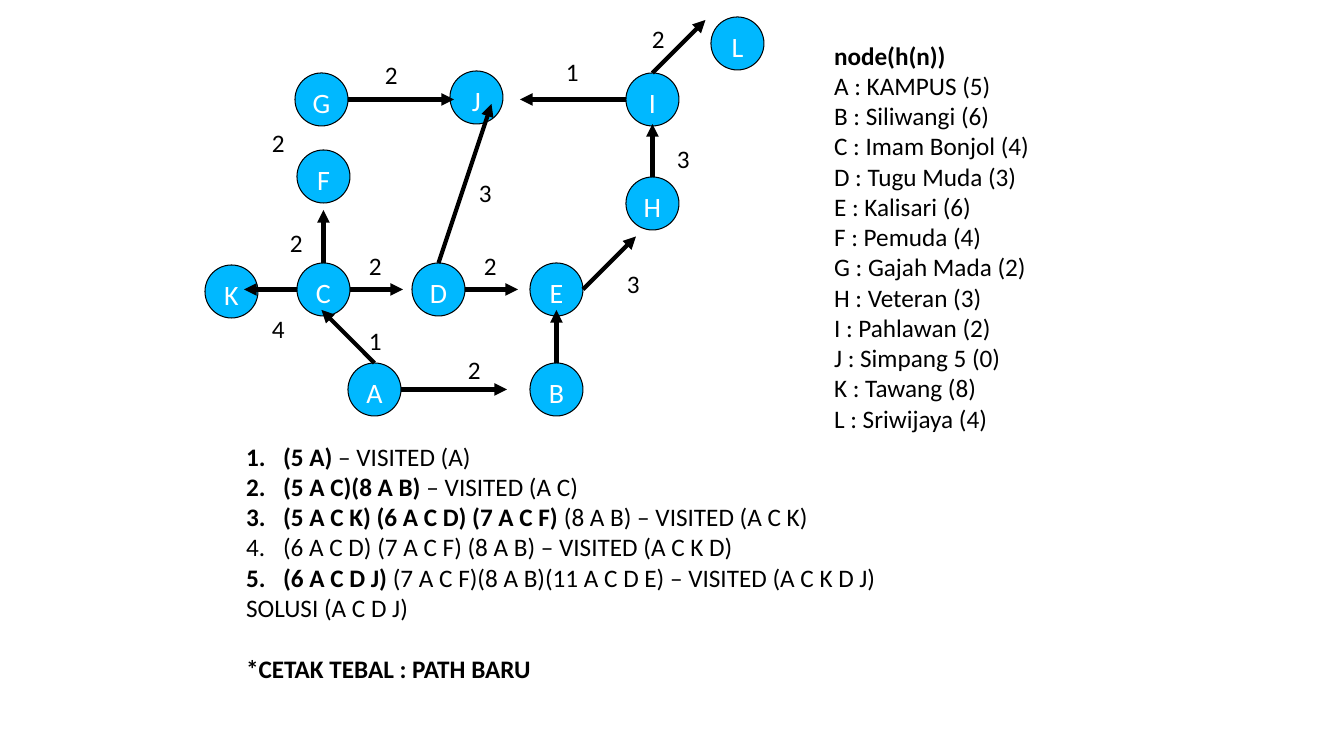
from collections import namedtuple
from dataclasses import dataclass

from lxml.etree import SubElement
from pptx import Presentation
from pptx.dml.color import RGBColor
from pptx.enum.shapes import MSO_CONNECTOR, MSO_SHAPE
from pptx.enum.text import MSO_ANCHOR, MSO_AUTO_SIZE, PP_ALIGN
from pptx.oxml.ns import qn
from pptx.util import Emu, Pt

Box = namedtuple("Box", "left top width height")


@dataclass(frozen=True)
class Theme:
    """Colours, font and sizes of the slide."""
    ink: RGBColor = RGBColor(0, 0, 0)
    node: RGBColor = RGBColor(0x00, 0xB8, 0xFF)
    node_text: RGBColor = RGBColor(255, 255, 255)
    font: str = "Calibri"
    body_size: int = 18
    node_size: int = 20
    outline: float = 0.75
    arrow: int = 3


THEME = Theme()
EMU_PER_PIXEL = 914400 / 100.8
DIAMETER = 53
HANG = 37
BLANK_LINE = 22

NODES = {
    "A": (148, 363), "B": (330, 363), "C": (97, 263), "D": (212, 263),
    "E": (330, 263), "F": (97, 150), "G": (95, 73), "H": (426, 177),
    "I": (426, 73), "J": (250, 71), "K": (5, 265), "L": (511, 17),
}
SIDES = {"top": (0.5, 0), "left": (0, 0.5), "right": (1, 0.5)}
ARROWS = [
    ("A", "right", 2, 0), ("A", "top", -1, -1), ("B", "top", 0, -1),
    ("C", "right", 1, 0), ("C", "top", 0, -1), ("C", "left", -1, 0),
    ("D", "right", 1, 0), ("D", "top", 1, -3), ("E", "right", 1, -1),
    ("G", "right", 2, 0), ("H", "top", 0, -1), ("I", "left", -2, 0),
    ("I", "top", 1, -1),
]
COSTS = [
    ("2", 258, 349), ("1", 159, 320), ("2", 159, 245), ("2", 274, 245),
    ("3", 417, 263), ("3", 467, 138), ("2", 442, 18), ("1", 356, 51),
    ("2", 175, 54), ("3", 269, 172), ("2", 62, 122), ("2", 80, 222),
    ("4", 62, 308),
]
PLACES = [
    "KAMPUS (5)", "Siliwangi (6)", "Imam Bonjol (4)", "Tugu Muda (3)",
    "Kalisari (6)", "Pemuda (4)", "Gajah Mada (2)", "Veteran (3)",
    "Pahlawan (2)", "Simpang 5 (0)", "Tawang (8)", "Sriwijaya (4)",
]
STEPS = [
    ("(5 A)", " – VISITED (A)"),
    ("(5 A C)(8 A B) ", "– VISITED (A C)"),
    ("(5 A C K) (6 A C D) (7 A C F) ", "(8 A B) – VISITED (A C K)"),
    ("", "(6 A C D) (7 A C F) (8 A B) – VISITED (A C K D)"),
    ("(6 A C D J) ", "(7 A C F)(8 A B)(11 A C D E) – VISITED (A C K D J)"),
]


def px(length):
    """Turn pixels into EMU."""
    return Emu(round(length * EMU_PER_PIXEL))


def write(para, text, size=THEME.body_size, color=THEME.ink, bold=False):
    """Add one formatted span to a paragraph."""
    span = para.add_run()
    span.text = text
    font = span.font
    font.name, font.size, font.bold = THEME.font, Pt(size), bold
    font.color.rgb = color


def place(shape, box):
    """Move a shape to a box."""
    shape.left, shape.top, shape.width, shape.height = map(px, box)


def list_para(frame, first=False, hang=0, numbered=False, before=0):
    """Return a list paragraph with its indent, numbering and gap."""
    para = frame.paragraphs[0] if first else frame.add_paragraph()
    para.space_before, para.space_after = Pt(before), Pt(0)
    props = para._p.get_or_add_pPr()
    props.set("marL", str(px(hang)))
    props.set("indent", str(-px(hang)))
    if numbered:
        SubElement(props, qn("a:buFont"), typeface="+mj-lt")
        SubElement(props, qn("a:buAutoNum"), type="arabicPeriod")
    else:
        SubElement(props, qn("a:buNone"))
    return para


def body_frame(holder, box):
    """Place a body placeholder and return its text frame."""
    place(holder, box)
    frame = holder.text_frame
    frame.word_wrap = True
    frame.auto_size = MSO_AUTO_SIZE.NONE
    frame.vertical_anchor = MSO_ANCHOR.TOP
    return frame


def draw_node(shapes, name, left, top):
    """Draw a named circle."""
    circle = shapes.add_shape(MSO_SHAPE.OVAL, px(left), px(top), px(DIAMETER), px(DIAMETER))
    circle.shadow.inherit = False
    circle.fill.solid()
    circle.fill.fore_color.rgb = THEME.node
    circle.line.color.rgb = THEME.ink
    circle.line.width = Pt(THEME.outline)
    frame = circle.text_frame
    frame.word_wrap = False
    frame.vertical_anchor = MSO_ANCHOR.TOP
    para = frame.paragraphs[0]
    para.alignment = PP_ALIGN.CENTER
    write(para, name, size=THEME.node_size, color=THEME.node_text)


def draw_arrow(shapes, start, end):
    """Draw an arrow between two points."""
    arrow = shapes.add_connector(MSO_CONNECTOR.STRAIGHT, *map(px, start + end))
    arrow.line.color.rgb = THEME.ink
    arrow.line.width = Pt(THEME.arrow)
    SubElement(arrow.line._get_or_add_ln(), qn("a:tailEnd"), type="triangle")
    SubElement(arrow._element.spPr, qn("a:effectLst"))


def draw_graph(page, box):
    """Draw the nodes, arrows and costs of the search graph."""
    shapes = page.shapes.add_group_shape().shapes
    for name, (left, top) in NODES.items():
        draw_node(shapes, name, box.left + left, box.top + top)
    for name, side, across, down in ARROWS:
        left, top = NODES[name]
        x = box.left + left + SIDES[side][0] * DIAMETER
        y = box.top + top + SIDES[side][1] * DIAMETER
        draw_arrow(shapes, (x, y), (x + across * DIAMETER, y + down * DIAMETER))
    for cost, left, top in COSTS:
        label = page.shapes.add_textbox(px(box.left + left), px(box.top + top), px(33), px(41))
        label.text_frame.word_wrap = True
        write(label.text_frame.paragraphs[0], cost)


def fill_legend(holder, box):
    """List the nodes with their heuristic values."""
    frame = body_frame(holder, box)
    write(list_para(frame, first=True), "node(h(n))", bold=True)
    for name, place_name in zip(NODES, PLACES):
        write(list_para(frame), f"{name} : {place_name}")


def fill_steps(holder, box):
    """List the search steps, the solution and the note."""
    frame = body_frame(holder, box)
    for index, (fresh, rest) in enumerate(STEPS):
        para = list_para(frame, first=index == 0, hang=HANG, numbered=True)
        if fresh:
            write(para, fresh, bold=True)
        write(para, rest)
    write(list_para(frame, hang=HANG), "SOLUSI (A C D J)")
    note = list_para(frame, hang=HANG, before=BLANK_LINE)
    write(note, "*CETAK TEBAL : PATH BARU", bold=True)


def main():
    """Build and save the slide."""
    deck = Presentation()
    deck.slide_width, deck.slide_height = px(1344), px(756)
    page = deck.slides.add_slide(deck.slide_layouts[3])
    title, steps, legend = page.placeholders
    title._element.getparent().remove(title._element)
    fill_legend(legend, Box(824, 35, 218, 407))
    draw_graph(page, Box(200, 0, 565, 416))
    fill_steps(steps, Box(236, 436, 664, 255))
    deck.save("out.pptx")


main()
